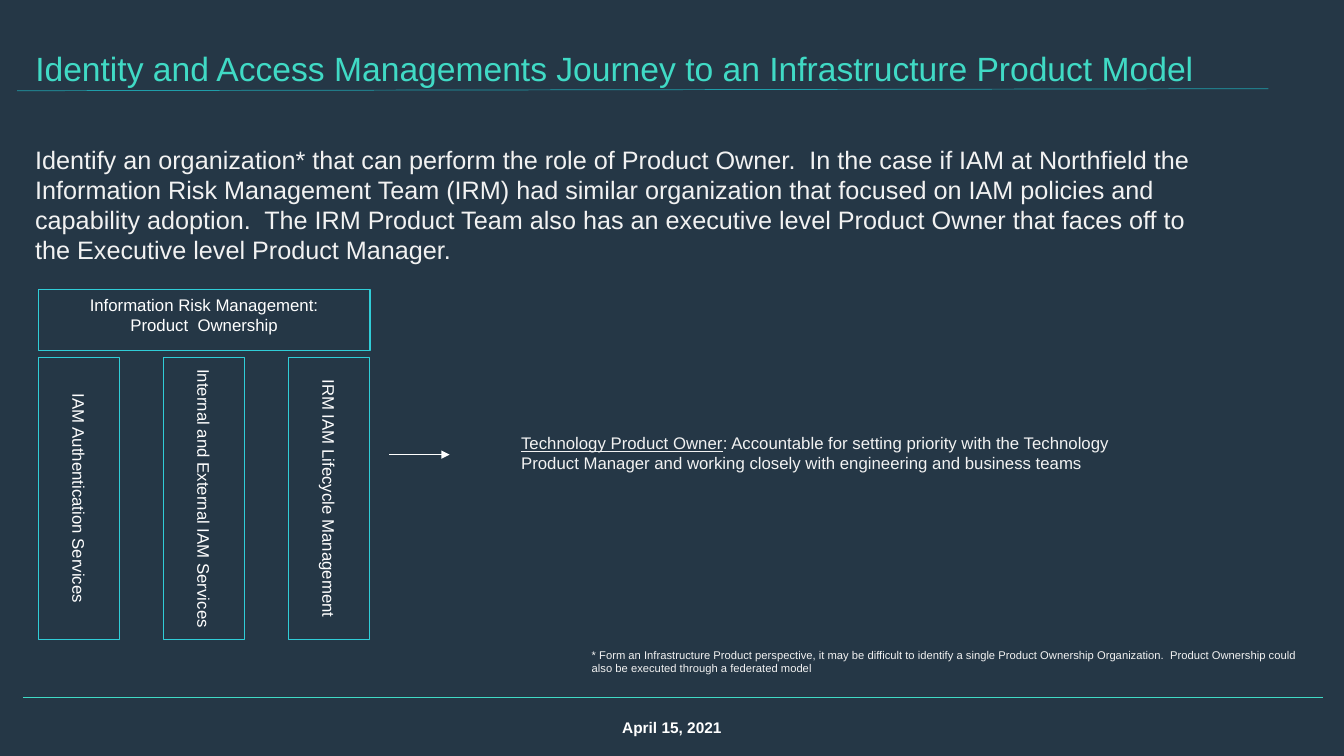
from lxml import etree
from pptx import Presentation
from pptx.dml.color import RGBColor
from pptx.enum.shapes import MSO_CONNECTOR, MSO_SHAPE
from pptx.enum.text import MSO_ANCHOR, PP_ALIGN
from pptx.oxml.ns import qn
from pptx.util import Inches, Pt

# Content
COLORS = {"navy": "253746", "mint": "40DAC5", "cyan": "30CDD7",
          "teal": "1F9EAA", "white": "FFFFFF", "pale": "F2F2F2"}
FONT = "Arial"
TITLE = "Identity and Access Managements Journey to an Infrastructure Product Model"
INTRO = ("Identify an organization* that can perform the role of Product Owner.  "
         "In the case if IAM at Northfield the Information Risk Management Team (IRM) "
         "had similar organization that focused on IAM policies and capability adoption.  "
         "The IRM Product Team also has an executive level Product Owner that faces off "
         "to the Executive level Product Manager.")
OWNERSHIP = "Information Risk Management:\nProduct  Ownership"
SERVICES = ["IAM Authentication Services",
            "Internal and External IAM Services",
            "IRM IAM Lifecycle Management"]
OWNER_ROLE = "Technology Product Owner"
OWNER_DUTY = (": Accountable for setting priority with the Technology Product Manager "
              "and working closely with engineering and business teams")
FOOTNOTE = ("* Form an Infrastructure Product perspective, it may be difficult to identify "
            "a single Product Ownership Organization.  Product Ownership could also be "
            "executed through a federated model")
DATE = "April 15, 2021"

# Layout in inches
SLIDE_WIDTH, SLIDE_HEIGHT = 13.33, 7.5
MARGIN = 0.25
TEXT_WIDTH = 11.81
PILLAR_LEFT, PILLAR_TOP = 0.38, 3.55
PILLAR_WIDTH, PILLAR_HEIGHT = 0.81, 2.79
PILLAR_STEP = 1.24
ROOF_TOP, ROOF_HEIGHT = 2.87, 0.61
ROOF_WIDTH = PILLAR_STEP * (len(SERVICES) - 1) + PILLAR_WIDTH
ARROW_Y = 4.51


def color(name):
    return RGBColor.from_string(COLORS[name])


def format_text(frame, size, tint, align=PP_ALIGN.LEFT, anchor=MSO_ANCHOR.TOP,
                bold=False, spacing=None):
    frame.word_wrap = True
    frame.vertical_anchor = anchor
    for para in frame.paragraphs:
        para.alignment = align
        para.line_spacing = spacing
        for span in para.runs:
            span.font.name = FONT
            span.font.size = Pt(size)
            span.font.bold = bold
            span.font.color.rgb = color(tint)


def add_text(page, text, area, size, tint="pale", **style):
    box = page.shapes.add_textbox(*map(Inches, area))
    box.text_frame.text = text
    format_text(box.text_frame, size, tint, **style)
    return box


def add_frame(page, text, area, **style):
    box = page.shapes.add_shape(MSO_SHAPE.RECTANGLE, *map(Inches, area))
    box.shadow.inherit = False
    box.fill.background()
    box.line.color.rgb = color("cyan")
    box.line.width = Pt(0.75)
    box.text_frame.text = text
    format_text(box.text_frame, 12, "white", align=PP_ALIGN.CENTER, **style)
    return box


def add_line(page, start, end, tint, width, arrow=False):
    line = page.shapes.add_connector(MSO_CONNECTOR.STRAIGHT,
                                     *map(Inches, (*start, *end)))
    line.line.color.rgb = color(tint)
    line.line.width = Pt(width)
    if arrow:
        etree.SubElement(line.line._get_or_add_ln(), qn("a:tailEnd"), type="triangle")
    etree.SubElement(line._element.spPr, qn("a:effectLst"))


def main():
    deck = Presentation()
    deck.slide_width, deck.slide_height = Inches(SLIDE_WIDTH), Inches(SLIDE_HEIGHT)
    page = deck.slides.add_slide(deck.slide_layouts[5])
    page.background.fill.solid()
    page.background.fill.fore_color.rgb = color("navy")

    # Title and its rule
    title = page.shapes.title
    title.left, title.top, title.width, title.height = map(
        Inches, (MARGIN, 0.2, 12.87, 0.7))
    title.text_frame.text = TITLE
    title.text_frame.margin_bottom = 0
    format_text(title.text_frame, 24, "mint", spacing=Pt(45.3))
    add_line(page, (12.58, 0.88), (0.17, 0.9), "teal", 0.5)

    # Introduction
    add_text(page, INTRO, (MARGIN, 1.38, TEXT_WIDTH, 1.52), 18)

    # Ownership roof over the service pillars
    add_frame(page, OWNERSHIP, (PILLAR_LEFT, ROOF_TOP, ROOF_WIDTH, ROOF_HEIGHT),
              anchor=MSO_ANCHOR.TOP)
    for index, service in enumerate(SERVICES):
        left = PILLAR_LEFT + index * PILLAR_STEP
        pillar = add_frame(page, service, (left, PILLAR_TOP, PILLAR_WIDTH, PILLAR_HEIGHT),
                           anchor=MSO_ANCHOR.MIDDLE)
        pillar.text_frame._txBody.bodyPr.set("vert", "vert")

    # Arrow to the product owner's role
    add_line(page, (3.86, ARROW_Y), (4.46, ARROW_Y), "white", 0.75, arrow=True)
    role = add_text(page, OWNER_ROLE, (5.07, 4.24, 6.48, 0.72), 12)
    role_para = role.text_frame.paragraphs[0]
    role_para.add_run().text = OWNER_DUTY
    format_text(role.text_frame, 12, "pale")
    role_para.runs[0].font.underline = True

    # Footnote and footer
    add_text(page, FOOTNOTE, (5.77, 6.38, 7.21, 0.41), 8)
    add_line(page, (0.23, 6.92), (13.12, 6.92), "mint", 0.5)
    add_text(page, DATE, ((SLIDE_WIDTH - TEXT_WIDTH) / 2, 7.02, TEXT_WIDTH, 0.4), 11,
             "white", align=PP_ALIGN.CENTER, anchor=MSO_ANCHOR.MIDDLE, bold=True)

    deck.save("out.pptx")


if __name__ == "__main__":
    main()
